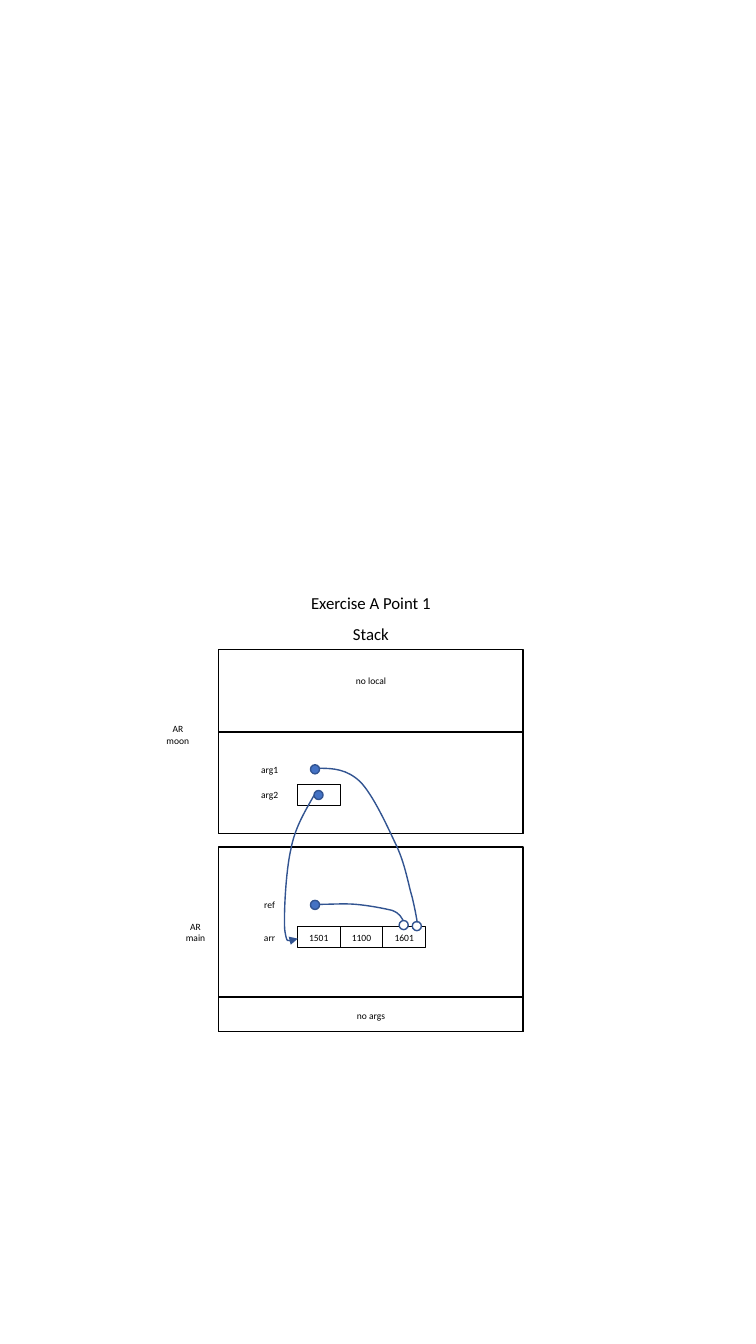
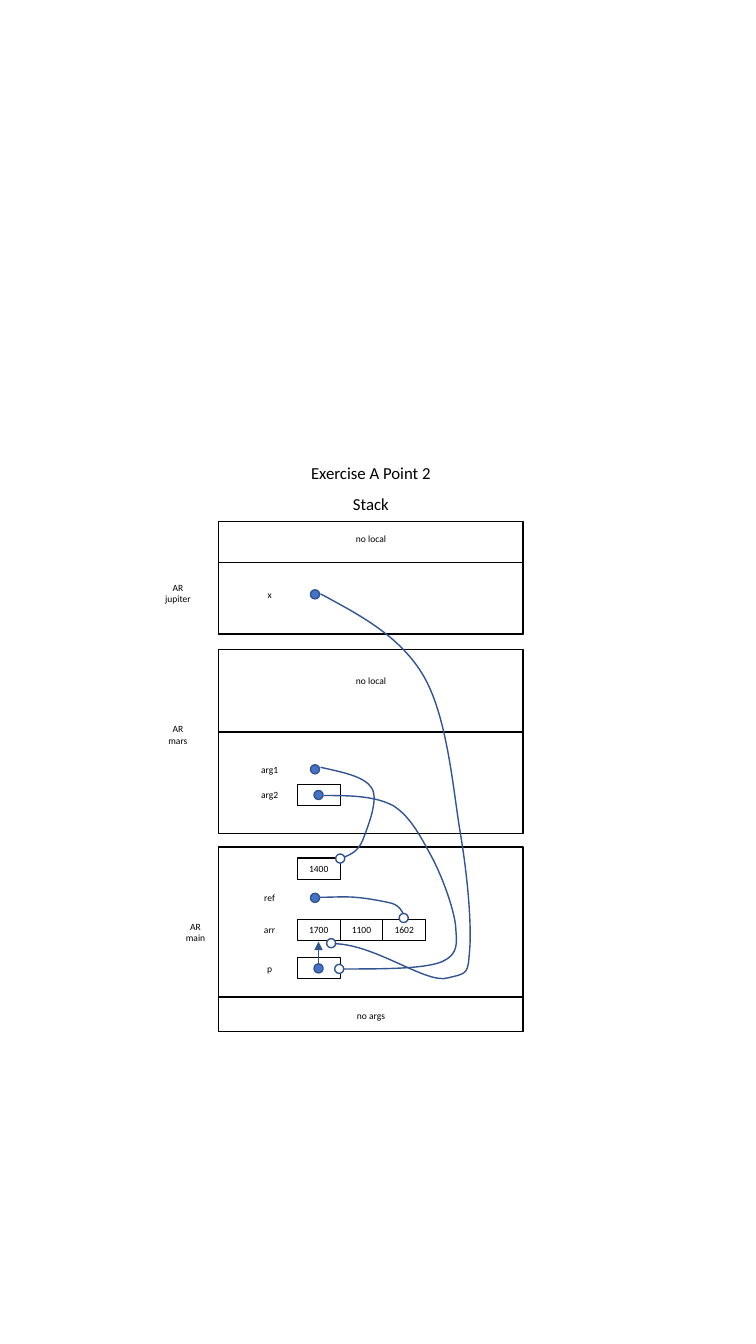
from dataclasses import dataclass
from lxml.etree import SubElement
from pptx import Presentation
from pptx.dml.color import RGBColor as Rgb
from pptx.enum.shapes import MSO_CONNECTOR as Link, MSO_SHAPE as Kind
from pptx.enum.text import MSO_ANCHOR as Anchor, MSO_AUTO_SIZE as Fit, PP_ALIGN as Align
from pptx.oxml.ns import qn
from pptx.util import Emu, Inches, Pt


@dataclass(frozen=True)
class Theme:
    font: str = "Calibri"
    head: float = 12
    small: float = 6.8
    thick: float = 1
    thin: float = 0.75
    ink: Rgb = Rgb(0, 0, 0)
    paper: Rgb = Rgb(255, 255, 255)
    blue: Rgb = Rgb.from_string("4472C4")
    edge: Rgb = Rgb.from_string("325491")


@dataclass(frozen=True)
class Box:
    x: float
    y: float
    w: float
    h: float

    def at(self, x, y):
        return self.x + x, self.y + y

    def sub(self, x, y, w, h):
        return Box(*self.at(x, y), w, h)

    def mid(self, x, y, w, h):
        return self.sub(x - w / 2, y - h / 2, w, h)

    def emu(self):
        return [unit(n) for n in (self.x, self.y, self.w, self.h)]


def unit(n):
    return Emu(round(n * Inches(0.01)))


look = Theme()
WIDE, LEFT = 302, 217
LABEL, CELL, PITCH, ROW, DOT = 50.5, 78, 42.4, 21, 9
FREE, HELD = 95.5, 99


def write(shape, text, size):
    frame = shape.text_frame
    frame.auto_size = Fit.NONE
    frame.word_wrap = True
    frame.vertical_anchor = Anchor.MIDDLE
    frame.margin_left = frame.margin_right = 0
    frame.margin_top = frame.margin_bottom = 0
    frame.text = text
    for para in frame.paragraphs:
        para.alignment = Align.CENTER
        para.font.name, para.font.size = look.font, Pt(size)
        para.font.color.rgb = look.ink


def label(slide, box, text, size=look.small):
    write(slide.shapes.add_textbox(*box.emu()), text, size)


def stroke(shape, color, width):
    shape.line.color.rgb = color
    shape.line.width = Pt(width)


def draw(slide, kind, box, fill, edge, width):
    shape = slide.shapes.add_shape(kind, *box.emu())
    shape.shadow.inherit = False
    stroke(shape, edge, width)
    if fill is None:
        shape.fill.background()
    else:
        shape.fill.solid()
        shape.fill.fore_color.rgb = fill
    return shape


def dot(slide, box, x, y, fill=look.blue):
    draw(slide, Kind.OVAL, box.mid(x, y, DOT, DOT), fill, look.edge, look.thick)


def ring(slide, box, x, y):
    dot(slide, box, x, y, look.paper)


def tip(shape):
    SubElement(shape.element.find(".//" + qn("a:ln")), qn("a:tailEnd"), type="triangle")


def wire(slide, start, steps, arrow=False):
    x, y = start
    form = slide.shapes.build_freeform(unit(x), unit(y))
    form.add_line_segments([(unit(x + a), unit(y + b)) for a, b in steps], close=False)
    shape = form.convert_to_shape()
    shape.shadow.inherit = False
    shape.fill.background()
    stroke(shape, look.edge, look.thick)
    lines = shape.element.xpath(".//a:lnTo")
    route = lines[0].getparent()
    for i in range(0, len(lines), 3):
        curve = SubElement(route, qn("a:cubicBezTo"))
        for line in lines[i:i + 3]:
            curve.append(line[0])
            route.remove(line)
    if arrow:
        tip(shape)


def arrow(slide, start, end):
    line = slide.shapes.add_connector(Link.STRAIGHT, *map(unit, start + end))
    stroke(line, look.edge, look.thick)
    SubElement(line.element.spPr, qn("a:effectLst"))
    tip(line)


def record(slide, box, name, split, tag, note, text):
    for part in (box, box.sub(0, split, box.w, box.h - split)):
        draw(slide, Kind.RECTANGLE, part, look.paper, look.ink, look.thick)
    label(slide, box.mid(box.w / 2, note, box.w, ROW), text)
    label(slide, box.mid(*tag, 44, 33), f"AR\n{name}")


def var(slide, box, y, name="", cells=(), spot=None):
    if name:
        label(slide, box.mid(LABEL, y, 54, ROW), name)
    for i, text in enumerate(cells):
        cell = box.sub(CELL + i * PITCH, y - ROW / 2, PITCH, ROW)
        shape = draw(slide, Kind.RECTANGLE, cell, None, look.ink, look.thin)
        if text:
            write(shape, text, look.small)
    if spot:
        dot(slide, box, spot, y)


def header(slide, box, text):
    title = slide.shapes.title
    title.left, title.top, title.width, title.height = box.emu()
    write(title, text, look.head)
    label(slide, box.sub(0, 31, box.w, box.h), "Stack", look.head)


def caller(slide, box, row, cells):
    record(slide, box, "main", 149, (-23, 84.5), 167.5, "no args")
    var(slide, box, row, "arr", cells)
    var(slide, box, row - 32, "ref", spot=FREE)
    ring(slide, box, 183.5, row - 12)
    wire(slide, box.at(100, row - 32.5),
         [(12, 0), (24, -1), (36, 0), (48, 1), (64, 4), (72, 6), (80, 9), (81, 13), (83, 16)])


def callee(slide, box, name):
    record(slide, box, name, 82, (-40.5, 84.5), 31.5, "no local")
    var(slide, box, 119, "arg1", spot=FREE)
    var(slide, box, 144.5, "arg2", [""], HELD)


def inner(slide, box):
    record(slide, box, "jupiter", 41, (-40.5, 71.5), 17.5, "no local")
    var(slide, box, 72.5, "x", spot=FREE)


def first(slide, main, sub):
    header(slide, Box(LEFT, 583, WIDE, 30), "Exercise A Point 1")
    callee(slide, sub, "moon")
    caller(slide, main, 89.5, ["1501", "1100", "1601"])
    wire(slide, sub.at(94.5, 145),
         [(-9, 16), (-19, 32), (-23, 54), (-28, 76), (-30, 118), (-29, 133),
          (-27, 147), (-22, 145), (-16, 142)], True)
    ring(slide, main, 196.5, 78.5)
    wire(slide, sub.at(100, 118),
         [(14, 0), (27, 1), (40, 13), (53, 26), (67, 57), (76, 76),
          (85, 95), (88, 115), (92, 128), (95, 141), (96, 147), (97, 153)])


def second(slide, main, sub):
    top = Box(LEFT, 517, WIDE, 112)
    header(slide, Box(LEFT, 454, WIDE, 30), "Exercise A Point 2")
    inner(slide, top)
    callee(slide, sub, "mars")
    caller(slide, main, 82.5, ["1700", "1100", "1602"])
    var(slide, main, 120.5, "p", [""], HELD)
    arrow(slide, main.at(HELD, 117), main.at(HELD, 94))
    var(slide, main, 21.5, cells=["1400"])
    ring(slide, main, 120.5, 11.5)
    wire(slide, sub.at(101, 117),
         [(22, 5), (44, 9), (51, 21), (58, 33), (46, 61), (42, 72), (37, 84), (30, 86), (24, 89)])
    ring(slide, main, 119.5, 121)
    wire(slide, sub.at(104, 145),
         [(25, 0), (50, 0), (69, 10), (87, 21), (98, 44), (109, 64), (119, 84), (129, 112),
          (131, 129), (132, 146), (135, 157), (117, 165), (99, 172), (59, 172), (20, 172)])
    ring(slide, main, 111.5, 95.5)
    wire(slide, top.at(101, 72),
         [(39, 21), (79, 42), (102, 81), (125, 120), (131, 188), (138, 233), (146, 279),
          (150, 328), (148, 353), (146, 377), (147, 376), (126, 381), (105, 387), (55, 348), (14, 347)])


deck = Presentation()
deck.slide_width, deck.slide_height = Inches(7.5), Inches(13.33)
for build in (first, second):
    page = deck.slides.add_slide(deck.slide_layouts[5])
    build(page, Box(LEFT, 840, WIDE, 183), Box(LEFT, 644, WIDE, 183))
deck.save("out.pptx")
